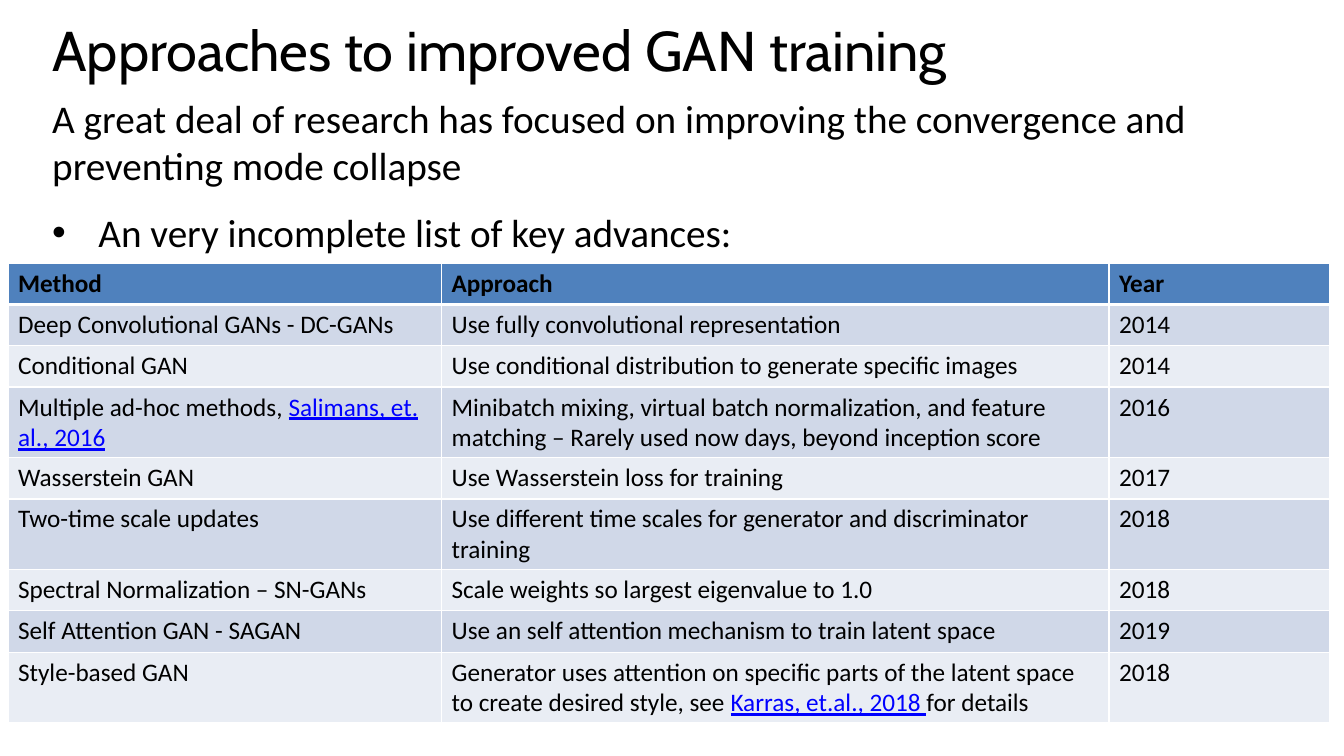
from lxml.etree import SubElement as Sub
from pptx import Presentation
from pptx.dml.color import RGBColor as RGB
from pptx.enum.text import MSO_ANCHOR as Anchor, PP_ALIGN as Align
from pptx.oxml.ns import qn
from pptx.util import Inches as In, Pt

HUES = {"text": "000000", "link": "0000FF", "head": "4F81BD",
        "odd": "D0D8E8", "even": "E9EDF4", "edge": "FFFFFF"}
LEFT, WIDE = 0.42, 12.6
TOP, HIGH = 0.2, 0.69
COLS = [4.3, 6.62, 2.19]
ROW = 0.41

# A cell is a list of runs; every second run is a link.
ROWS = [
    (["Method"], ["Approach"], ["Year"]),
    (["Deep Convolutional GANs - DC-GANs"],
     ["Use fully convolutional representation"], ["2014"]),
    (["Conditional GAN"],
     ["Use conditional distribution to generate specific images"], ["2014"]),
    (["Multiple ad-hoc methods, ", "Salimans, et. al., 2016"],
     ["Minibatch mixing, virtual batch normalization, and feature matching "
      "– Rarely used now days, beyond inception score"], ["2016"]),
    (["Wasserstein GAN"], ["Use Wasserstein loss for training"], ["2017"]),
    (["Two-time scale updates"],
     ["Use different time scales for generator and discriminator training"],
     ["2018"]),
    (["Spectral Normalization – SN-GANs"],
     ["Scale weights so largest eigenvalue to 1.0"], ["2018"]),
    (["Self Attention GAN - SAGAN"],
     ["Use an self attention mechanism to train latent space"], ["2019"]),
    (["Style-based GAN"],
     ["Generator uses attention on specific parts of the latent space to "
      "create desired style, see ", "Karras, et.al., 2018 ", "for details"],
     ["2018"]),
]


def style(font, size, name="Calibri", bold=False):
    font.size, font.name, font.bold = Pt(size), name, bold
    font.color.rgb = RGB.from_string(HUES["text"])


def edge(cell, head):
    """Draw white cell borders, thicker where the header meets the body."""
    props = cell._tc.get_or_add_tcPr()
    for side in ("lnL", "lnR", "lnT", "lnB"):
        thick = side == ("lnB" if head == 0 else "lnT") and head < 2
        line = Sub(props, qn(f"a:{side}"), w=str(Pt(3 if thick else 1)))
        fill = Sub(line, qn("a:solidFill"))
        Sub(fill, qn("a:srgbClr"), val=HUES["edge"])


deck = Presentation()
deck.slide_width, deck.slide_height = In(13.33), In(7.5)
slide = deck.slides.add_slide(deck.slide_layouts[5])
shapes = slide.shapes

# Title
title = shapes.title
title.left, title.top, title.width, title.height = map(In, (LEFT, TOP, WIDE, HIGH))
title.text_frame.text = "Approaches to improved GAN training"
title.text_frame.vertical_anchor = Anchor.MIDDLE
para = title.text_frame.paragraphs[0]
para.alignment, para.line_spacing = Align.LEFT, 0.8
style(para.font, 40, "Cabin")

# Introduction
intro = shapes.add_textbox(In(LEFT), In(TOP + HIGH), In(WIDE), In(1.7)).text_frame
intro.word_wrap = True
intro.text = ("A great deal of research has focused on improving the convergence "
              "and preventing mode collapse")
point = intro.add_paragraph()
point.text = " An very incomplete list of key advances:"
point.space_before = Pt(14)
props = point._p.get_or_add_pPr()
props.set("marL", str(In(0.37)))
props.set("indent", str(-In(0.37)))
Sub(props, qn("a:buFont"), typeface="Arial")
Sub(props, qn("a:buChar"), char="•")
for para in intro.paragraphs:
    style(para.font, 28)

# Table of methods
table = shapes.add_table(len(ROWS), len(COLS), In(0.08), In(2.61),
                         In(sum(COLS)), In(ROW * len(ROWS))).table
for col, width in zip(table.columns, COLS):
    col.width = In(width)
for r, row in enumerate(ROWS):
    table.rows[r].height = In(ROW)
    hue = "head" if r == 0 else "odd" if r % 2 else "even"
    for c, parts in enumerate(row):
        cell = table.cell(r, c)
        edge(cell, r)
        cell.fill.solid()
        cell.fill.fore_color.rgb = RGB.from_string(HUES[hue])
        para = cell.text_frame.paragraphs[0]
        style(para.font, 18, bold=r == 0)
        for n, part in enumerate(parts):
            run = para.add_run()
            run.text = part
            if n % 2:
                run.font.underline = True
                run.font.color.rgb = RGB.from_string(HUES["link"])

deck.save("out.pptx")
